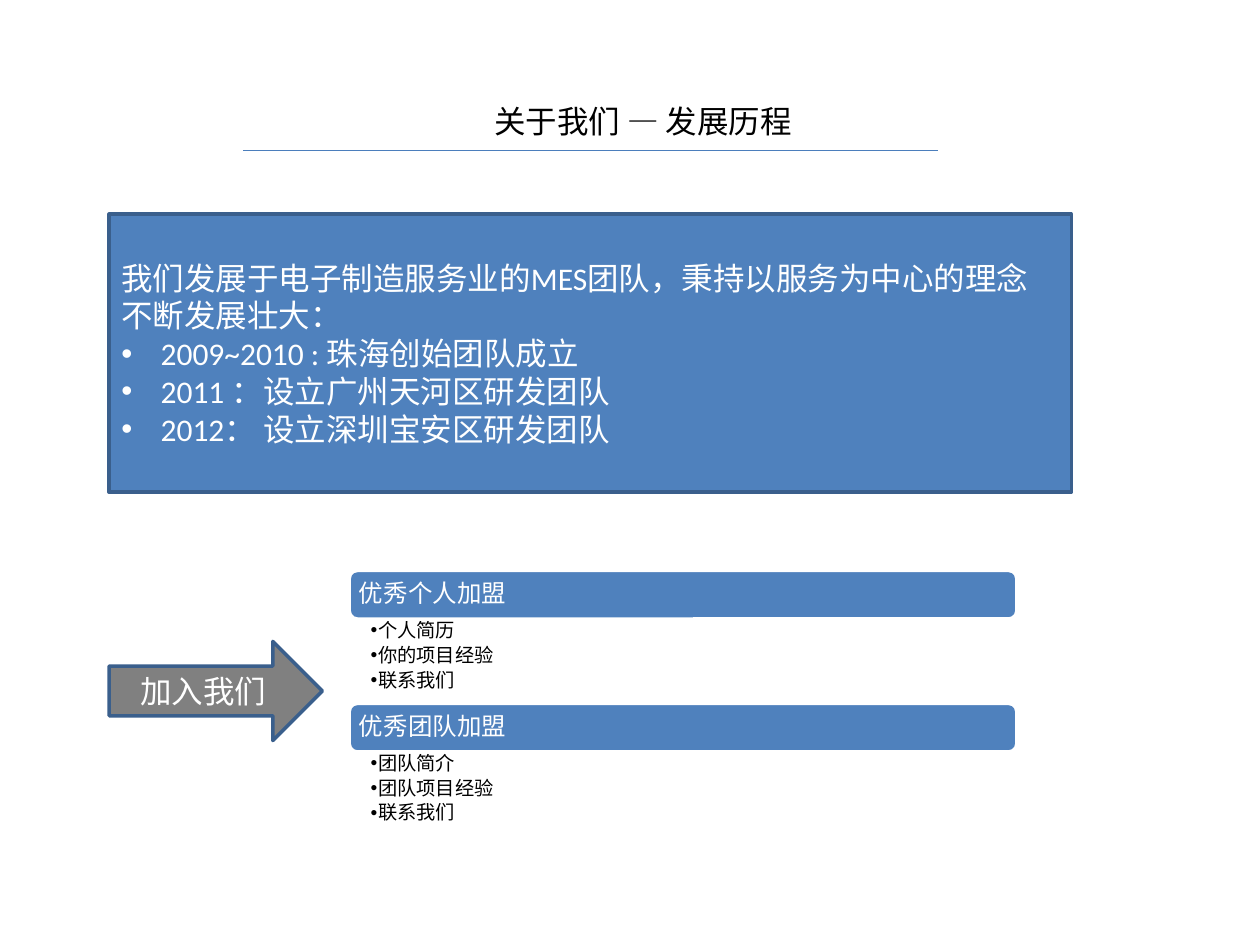
from dataclasses import dataclass

from lxml.etree import SubElement
from pptx import Presentation
from pptx.dml.color import RGBColor
from pptx.enum.shapes import MSO_CONNECTOR, MSO_SHAPE
from pptx.enum.text import MSO_ANCHOR, MSO_AUTO_SIZE, PP_ALIGN
from pptx.oxml.ns import qn
from pptx.util import Cm, Pt


@dataclass(frozen=True)
class Theme:
    font: str = "Calibri"
    blue: str = "4F81BD"
    rule: str = "4B7EBC"
    outline: str = "3A5F8C"
    gray: str = "808080"
    white: str = "FFFFFF"
    black: str = "000000"
    large: int = 18
    medium: int = 14
    small: int = 11


class SlideBuilder:
    def __init__(self, page, theme):
        self.page = page
        self.theme = theme

    def place(self, shape, left, top, width, height):
        bounds = {"left": left, "top": top, "width": width, "height": height}
        for name, value in bounds.items():
            setattr(shape, name, Cm(value))

    def fill_text(self, shape, lines, size, color, margins=(0.25, 0.13, 0.25, 0.13),
                  align=PP_ALIGN.LEFT, anchor=MSO_ANCHOR.MIDDLE, wrap=True, **spacing):
        frame = shape.text_frame
        frame.text = "\n".join(lines)
        left, top, right, bottom = map(Cm, margins)
        frame_format = {
            "auto_size": MSO_AUTO_SIZE.NONE, "word_wrap": wrap,
            "vertical_anchor": anchor, "margin_left": left, "margin_top": top,
            "margin_right": right, "margin_bottom": bottom,
        }
        for name, value in frame_format.items():
            setattr(frame, name, value)
        para_format = {"alignment": align, "space_before": Pt(0), **spacing}
        span_format = {"name": self.theme.font, "size": Pt(size), "bold": False}
        for para in frame.paragraphs:
            for name, value in para_format.items():
                setattr(para, name, value)
            for span in para.runs:
                for name, value in span_format.items():
                    setattr(span.font, name, value)
                span.font.color.rgb = RGBColor.from_string(color)

    def bullet(self, paras, indent):
        for para in paras:
            properties = para._p.get_or_add_pPr()
            properties.set("marL", str(Cm(indent)))
            properties.set("indent", str(-Cm(indent)))
            SubElement(properties, qn("a:buFont")).set("typeface", "Arial")
            SubElement(properties, qn("a:buChar")).set("char", "•")

    def title(self, text, *bounds):
        box = self.page.shapes.title
        self.place(box, *bounds)
        self.fill_text(box, [text], self.theme.large, self.theme.black,
                       align=PP_ALIGN.CENTER, wrap=False)

    def rule(self, left, right, top):
        line = self.page.shapes.add_connector(
            MSO_CONNECTOR.STRAIGHT, Cm(left), Cm(top), Cm(right), Cm(top))
        line.line.color.rgb = RGBColor.from_string(self.theme.rule)
        line.line.width = Pt(0.75)
        SubElement(line._element.spPr, qn("a:effectLst"))

    def block(self, kind, bounds, lines, size, fill, outline, **text_format):
        shape = self.page.shapes.add_shape(kind, *map(Cm, bounds))
        shape.shadow.inherit = False
        shape.fill.solid()
        shape.fill.fore_color.rgb = RGBColor.from_string(fill)
        shape.line.color.rgb = RGBColor.from_string(outline)
        shape.line.width = Pt(2)
        self.fill_text(shape, lines, size, self.theme.white, **text_format)
        return shape

    def bullet_list(self, box, lines, *bounds):
        self.place(box, *bounds)
        self.fill_text(box, lines, self.theme.small, self.theme.black,
                       margins=(0.43, 0.04, 0.28, 0.04), anchor=MSO_ANCHOR.TOP,
                       level=1, line_spacing=0.9, space_after=Pt(2.2))
        self.bullet(box.text_frame.paragraphs, 0.15)


def main():
    theme = Theme()
    deck = Presentation()
    deck.slide_width, deck.slide_height = Cm(25.4), Cm(19.05)
    page = deck.slides.add_slide(deck.slide_layouts.get_by_name("Two Content"))
    builder = SlideBuilder(page, theme)

    # Title and rule
    builder.rule(4.9, 18.9, 3.03)
    builder.title("关于我们 — 发展历程", 9.7, 1.93, 6.53, 1.02)

    # Company history
    history = [
        "我们发展于电子制造服务业的MES团队，秉持以服务为中心的理念不断发展壮大：",
        "2009~2010 : 珠海创始团队成立",
        "2011 ：设立广州天河区研发团队",
        "2012： 设立深圳宝安区研发团队",
    ]
    panel = builder.block(MSO_SHAPE.RECTANGLE, (2.2, 4.32, 19.4, 5.6), history,
                          theme.large, theme.blue, theme.outline)
    builder.bullet(panel.text_frame.paragraphs[1:], 0.79)

    # Invitation arrow
    builder.block(MSO_SHAPE.RIGHT_ARROW, (2.2, 12.93, 4.3, 2), ["加入我们"],
                  theme.large, theme.gray, theme.outline, align=PP_ALIGN.CENTER)

    # Ways to join: a heading bar above each list
    groups = [
        ("优秀个人加盟", ["个人简历", "你的项目经验", "联系我们"]),
        ("优秀团队加盟", ["团队简介", "团队项目经验", "联系我们"]),
    ]
    left, first_top, width, bar_height, list_height = 7.04, 11.5, 13.46, 0.98, 1.7
    list_boxes = list(page.placeholders)[1:]
    for row, ((heading, items), box) in enumerate(zip(groups, list_boxes)):
        top = first_top + row * (bar_height + list_height)
        builder.block(MSO_SHAPE.ROUNDED_RECTANGLE, (left, top, width, bar_height),
                      [heading], theme.medium, theme.blue, theme.white,
                      margins=(0.15, 0.15, 0.15, 0.15), line_spacing=0.9)
        builder.bullet_list(box, items, left, top + bar_height, width, list_height)

    deck.save("out.pptx")


if __name__ == "__main__":
    main()
